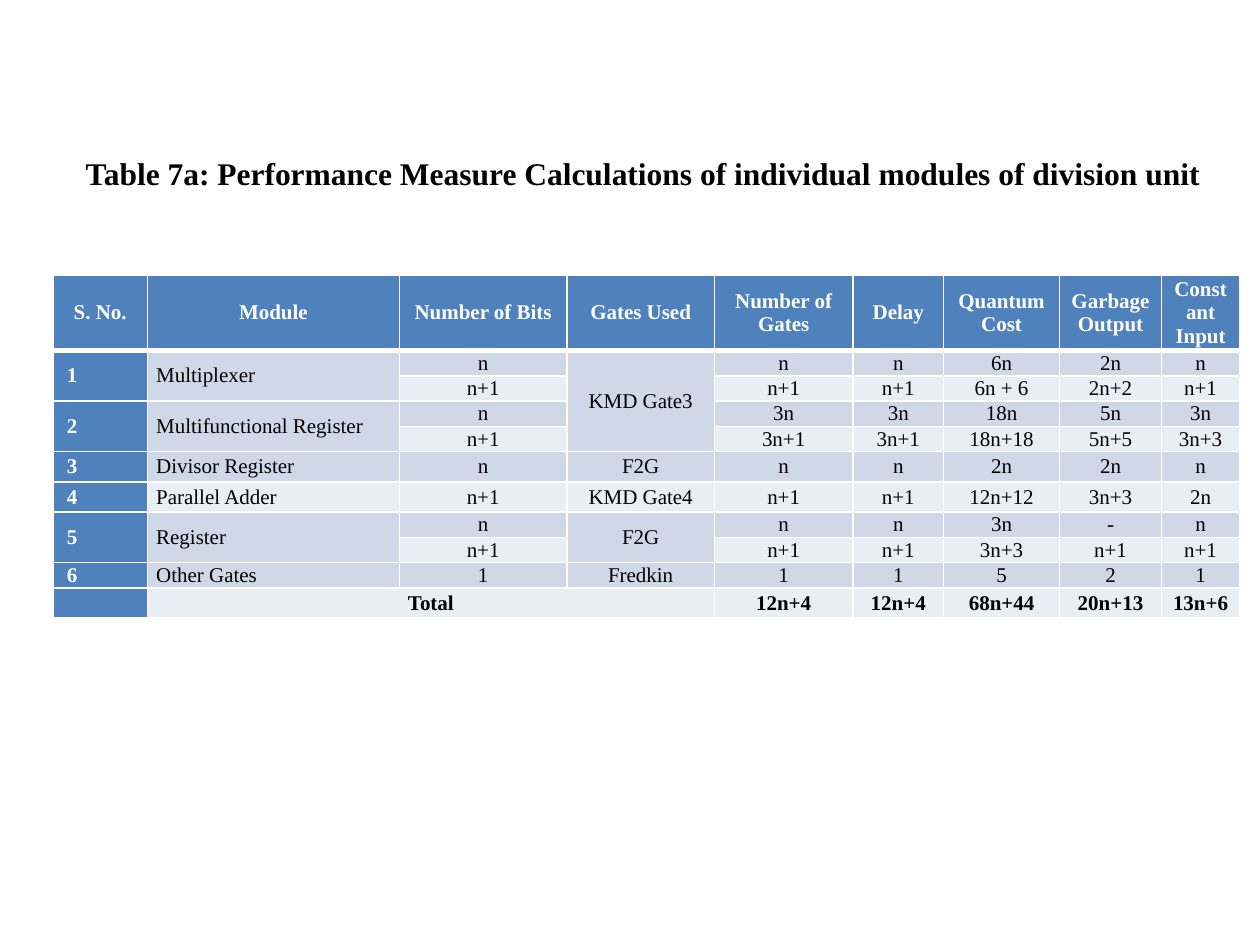
import lxml.etree
import pptx
import pptx.dml.color
import pptx.enum.text
import pptx.oxml.ns
import pptx.util

COLORS = {"header": "4F81BD", "odd": "D0D8E8", "even": "E9EDF4",
          "line": "FFFFFF", "light": "FFFFFF", "dark": "000000"}
FONT = "Times New Roman"
WIDTH, HEIGHT = pptx.util.Inches(10), pptx.util.Inches(7.5)

# Boxes as shares of the slide: left, top, width, height
TITLE_BOX = (0.058, 0.156, 0.908, 0.053)
TABLE_BOX = (0.042, 0.291, 0.942, 0.363)

# Relative widths and heights of the grid
COLUMNS = (0.75, 2, 1.33, 1.17, 1.1, 0.72, 0.92, 0.81, 0.62)
ROWS = (0.6, 0.2, 0.2, 0.2, 0.2, 0.24, 0.24, 0.2, 0.2, 0.2, 0.24)

TITLE = "Table 7a: Performance Measure Calculations of individual modules of division unit"
CELLS = (
    ("S. No.", "Module", "Number of Bits", "Gates Used", "Number of Gates",
     "Delay", "Quantum Cost", "Garbage Output", "Constant Input"),
    (" 1", "Multiplexer", "n", "KMD Gate3", "n", "n", "6n", "2n", "n"),
    ("", "", "n+1", "", "n+1", "n+1", "6n + 6", "2n+2", "n+1"),
    (" 2", "Multifunctional Register", "n", "", "3n", "3n", "18n", "5n", "3n"),
    ("", "", "n+1", "", "3n+1", "3n+1", "18n+18", "5n+5", "3n+3"),
    (" 3", "Divisor Register", "n", "F2G", "n", "n", "2n", "2n", "n"),
    (" 4", "Parallel Adder", "n+1", "KMD Gate4", "n+1", "n+1", "12n+12", "3n+3", "2n"),
    (" 5", "Register", "n", "F2G", "n", "n", "3n", "-", "n"),
    ("", "", "n+1", "", "n+1", "n+1", "3n+3", "n+1", "n+1"),
    (" 6", "Other Gates", "1", "Fredkin", "1", "1", "5", "2", "1"),
    ("", "Total", "", "", "12n+4", "12n+4", "68n+44", "20n+13", "13n+6"),
)
# Merged areas: first row, first column, last row, last column
MERGES = ((1, 0, 2, 0), (1, 1, 2, 1), (1, 3, 4, 3), (3, 0, 4, 0), (3, 1, 4, 1),
          (7, 0, 8, 0), (7, 1, 8, 1), (7, 3, 8, 3), (10, 1, 10, 3))


def rgb(name):
    return pptx.dml.color.RGBColor.from_string(COLORS[name])


def to_slide(box):
    return [round(share * size) for share, size in zip(box, (WIDTH, HEIGHT) * 2)]


def assign(target, values):
    for name, value in values.items():
        setattr(target, name, value)


def write(para, text, size, bold, color, align):
    para.alignment = align
    if not text:
        # Keeps an empty cell from growing its row
        lxml.etree.SubElement(para._p, pptx.oxml.ns.qn("a:endParaRPr"), sz=str(size * 100))
        return
    span = para.add_run()
    span.text = text
    assign(span.font, {"name": FONT, "size": pptx.util.Pt(size), "bold": bold})
    span.font.color.rgb = rgb(color)


def draw_borders(cell, widths):
    properties = cell._tc.get_or_add_tcPr()
    for side, points in widths.items():
        line = lxml.etree.SubElement(properties, pptx.oxml.ns.qn("a:ln" + side),
                                     w=str(pptx.util.Pt(points)))
        fill = lxml.etree.SubElement(line, pptx.oxml.ns.qn("a:solidFill"))
        lxml.etree.SubElement(fill, pptx.oxml.ns.qn("a:srgbClr"), val=COLORS["line"])


def add_title(page, box):
    title = page.shapes.title
    assign(title, dict(zip(("left", "top", "width", "height"), to_slide(box))))
    assign(title.text_frame, {
        "word_wrap": True,
        "auto_size": pptx.enum.text.MSO_AUTO_SIZE.SHAPE_TO_FIT_TEXT,
        "vertical_anchor": pptx.enum.text.MSO_ANCHOR.TOP})
    write(title.text_frame.paragraphs[0], TITLE, 18, True, "dark",
          pptx.enum.text.PP_ALIGN.LEFT)


def format_cell(cell, row, column, text):
    heading = row == 0 or column == 0
    assign(cell, {"margin_left": pptx.util.Inches(0.07),
                  "margin_right": pptx.util.Inches(0.07),
                  "margin_top": 0, "margin_bottom": 0,
                  "vertical_anchor": pptx.enum.text.MSO_ANCHOR.MIDDLE})
    # A thick rule parts the header from the body
    draw_borders(cell, {"L": 1, "R": 1, "T": 3 if row == 1 else 1,
                        "B": 3 if row == 0 else 1})
    cell.fill.solid()
    cell.fill.fore_color.rgb = rgb("header" if heading else "odd" if row % 2 else "even")
    left = row > 0 and (column == 0 or (column == 1 and row < len(ROWS) - 1))
    align = pptx.enum.text.PP_ALIGN.LEFT if left else pptx.enum.text.PP_ALIGN.CENTER
    write(cell.text_frame.paragraphs[0], text, 12, heading or row == len(ROWS) - 1,
          "light" if heading else "dark", align)


def add_measures(page, box):
    left, top, width, height = to_slide(box)
    table = page.shapes.add_table(len(ROWS), len(COLUMNS), left, top, width, height).table
    for column, share in zip(table.columns, COLUMNS):
        column.width = round(width * share / sum(COLUMNS))
    for row, share in zip(table.rows, ROWS):
        row.height = round(height * share / sum(ROWS))
    for row, texts in enumerate(CELLS):
        for column, text in enumerate(texts):
            format_cell(table.cell(row, column), row, column, text)
    for first_row, first_column, last_row, last_column in MERGES:
        table.cell(first_row, first_column).merge(table.cell(last_row, last_column))


def main():
    deck = pptx.Presentation()
    assign(deck, {"slide_width": WIDTH, "slide_height": HEIGHT})
    page = deck.slides.add_slide(deck.slide_layouts[5])
    add_title(page, TITLE_BOX)
    add_measures(page, TABLE_BOX)
    deck.save("out.pptx")


if __name__ == "__main__":
    main()
